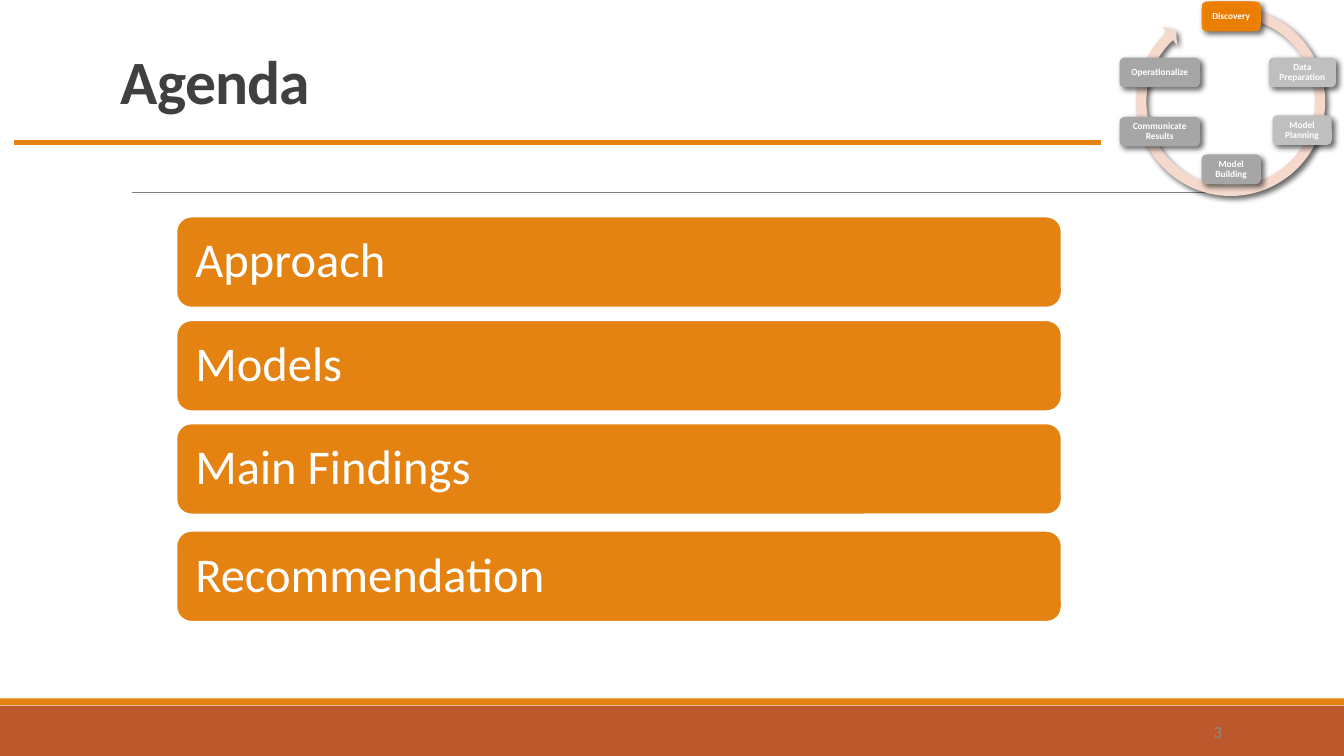
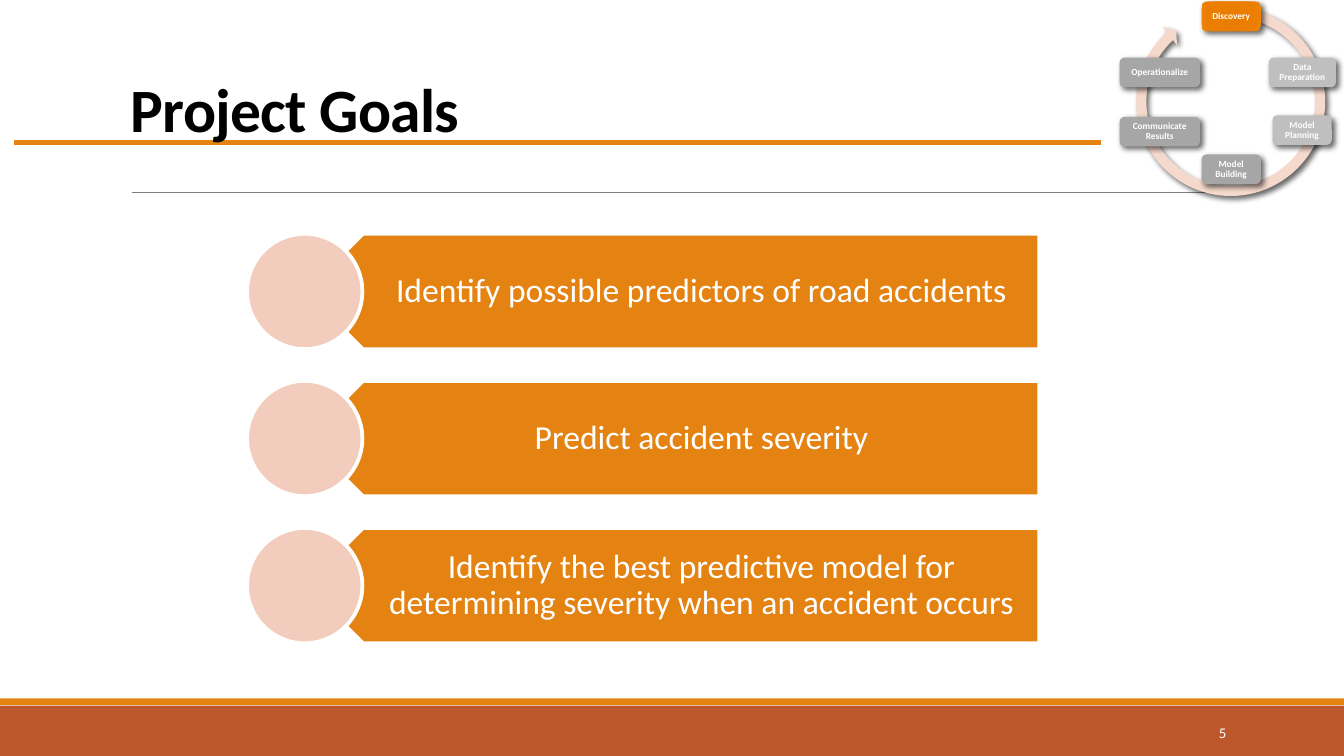
from dataclasses import dataclass

from lxml import etree
from pptx import Presentation
from pptx import util as u
from pptx.dml.color import RGBColor
from pptx.enum import shapes, text
from pptx.oxml import parse_xml
from pptx.oxml.ns import qn

SHAPE = shapes.MSO_SHAPE
ALIGN = text.PP_ALIGN
ANCHOR = text.MSO_ANCHOR
NAMESPACE = 'xmlns:a="http://schemas.openxmlformats.org/drawingml/2006/main"'


@dataclass(frozen=True)
class Theme:
    """Colours, font and type sizes shared by every slide."""
    font: str = "Calibri"
    accent: str = "E48312"
    footer: str = "BD582C"
    white: str = "FFFFFF"
    black: str = "000000"
    charcoal: str = "404040"
    rule: str = "808080"
    muted: str = "8B8B8B"
    pale: str = "F2CDBD"
    ring: str = "F5D9CC"
    light_step: str = "BFBFBF"
    dark_step: str = "A6A6A6"
    glow: tuple = ((0, "E57B00"), (34, "E87D00"), (70, "EB7E00"), (100, "EF8407"))
    title_size: float = 33
    agenda_size: float = 26
    goal_size: float = 18
    step_size: float = 5


THEME = Theme()
AGENDA = (("Approach", 4.09), ("Models", 6.05), ("Main Findings", 8), ("Recommendation", 10.03))
GOALS = (
    "Identify possible predictors of road accidents",
    "Predict accident severity",
    "Identify the best predictive model for determining severity when an accident occurs",
)
STEPS = (
    ("Discovery", 22.71, 0.03, 1.12, THEME.accent),
    ("Data Preparation", 23.98, 1.09, 1.27, THEME.light_step),
    ("Model Planning", 24.05, 2.18, 1.12, THEME.light_step),
    ("Model Building", 22.71, 2.92, 1.12, THEME.dark_step),
    ("Communicate Results", 21.16, 2.21, 1.52, THEME.dark_step),
    ("Operationalize", 21.16, 1.09, 1.52, THEME.dark_step),
)


def lengths(*values):
    """Turn centimetres into slide lengths."""
    return [u.Cm(value) for value in values]


def write_text(frame, words, *, size, color, bold=False, align=ALIGN.LEFT, anchor=ANCHOR.MIDDLE,
               insets=(0.25, 0.13, 0.25, 0.13), leading=0.9, tracking=0):
    """Fill a text frame with one formatted paragraph."""
    frame.word_wrap = True
    frame.auto_size = text.MSO_AUTO_SIZE.NONE
    frame.vertical_anchor = anchor
    (frame.margin_left, frame.margin_top,
     frame.margin_right, frame.margin_bottom) = lengths(*insets)
    para = frame.paragraphs[0]
    para.alignment = align
    para.line_spacing = leading
    span = para.add_run()
    span.text = words
    span.font.name = THEME.font
    span.font.size = u.Pt(size)
    span.font.bold = bold
    span.font.color.rgb = RGBColor.from_string(color)
    if tracking:
        span.font._element.set("spc", str(round(tracking * 100)))


def add_block(page, kind, place, fill, outline=0):
    """Draw a filled preset shape, with a white outline if a width is given."""
    block = page.shapes.add_shape(kind, *lengths(*place))
    block.shadow.inherit = False
    block.fill.solid()
    block.fill.fore_color.rgb = RGBColor.from_string(fill)
    if outline:
        block.line.color.rgb = RGBColor.from_string(THEME.white)
        block.line.width = u.Pt(outline)
    else:
        block.line.fill.background()
    return block


def add_label(page, place, words, **style):
    """Place a text box."""
    box = page.shapes.add_textbox(*lengths(*place))
    write_text(box.text_frame, words, **style)


def add_rule(page, left, right, top, color, width):
    """Draw a horizontal line."""
    rule = page.shapes.add_connector(shapes.MSO_CONNECTOR.STRAIGHT, *lengths(left, top, right, top))
    rule.line.color.rgb = RGBColor.from_string(color)
    rule.line.width = u.Pt(width)
    etree.SubElement(rule._element.spPr, qn("a:effectLst"))


def add_shadow(block):
    """Give a shape a soft shadow to the lower right."""
    effects = block._element.spPr.find(qn("a:effectLst"))
    effects.append(parse_xml(
        f'<a:outerShdw {NAMESPACE} blurRad="{u.Pt(3)}" dist="{u.Pt(2)}" dir="2700000" '
        f'rotWithShape="0"><a:srgbClr val="{THEME.black}"><a:alpha val="60000"/></a:srgbClr>'
        '</a:outerShdw>'))


def add_glow(block):
    """Replace a solid fill with the highlight gradient."""
    stops = "".join(f'<a:gs pos="{share * 1000}"><a:srgbClr val="{color}"/></a:gs>'
                    for share, color in THEME.glow)
    properties = block._element.spPr
    properties.replace(properties.find(qn("a:solidFill")), parse_xml(
        f'<a:gradFill {NAMESPACE}><a:gsLst>{stops}</a:gsLst><a:path path="circle">'
        '<a:fillToRect l="100000" t="100000" r="100000" b="100000"/></a:path></a:gradFill>'))


def add_cycle(page, current):
    """Draw the project life cycle with the current step highlighted."""
    ring = add_block(page, SHAPE.CIRCULAR_ARROW, (21.34, 0, 3.84, 3.84), THEME.ring)
    for index, value in enumerate((0.05, 3.13, 146.34, 168.93, 0.06)):
        ring.adjustments[index] = value
    ring.rotation = 343.2
    add_shadow(ring)
    for name, left, top, width, fill in STEPS:
        step = add_block(page, SHAPE.ROUNDED_RECTANGLE, (left, top, width, 0.56), fill)
        if name == current:
            add_glow(step)
        add_shadow(step)
        write_text(step.text_frame, name, size=THEME.step_size, color=THEME.white, bold=True,
                   align=ALIGN.CENTER, insets=(0.05,) * 4)


def add_page(deck, title, place, number, *, number_left, number_size, number_color, **title_style):
    """Add a slide with its bands, rules, title and page number."""
    page = deck.slides.add_slide(deck.slide_layouts[5])
    add_block(page, SHAPE.RECTANGLE, (0, 13.34, 25.4, 0.95), THEME.footer)
    add_block(page, SHAPE.RECTANGLE, (0, 13.2, 25.4, 0.13), THEME.accent)
    add_rule(page, 2.49, 23.24, 3.63, THEME.rule, 0.5)
    add_rule(page, 0.26, 20.81, 2.69, THEME.accent, 3)
    heading = page.shapes.title
    heading.left, heading.top, heading.width, heading.height = lengths(*place)
    write_text(heading.text_frame, title, size=THEME.title_size, bold=True, tracking=-0.4,
               **title_style)
    page.shapes._spTree.append(heading._element)
    add_label(page, (number_left, 13.46, 2.74, 0.76), number, size=number_size,
              color=number_color, align=ALIGN.RIGHT, insets=(0.18, 0.1, 0.18, 0.1), leading=1)
    return page


def add_agenda(page):
    """Stack the agenda bars."""
    for words, top in AGENDA:
        bar = add_block(page, SHAPE.ROUNDED_RECTANGLE, (3.33, top, 16.74, 1.73), THEME.accent, 1.25)
        write_text(bar.text_frame, words, size=THEME.agenda_size, color=THEME.white,
                   insets=(0.28,) * 4)


def add_goals(page):
    """Stack the goal banners, each led by a disc."""
    height = 2.18
    for index, words in enumerate(GOALS):
        top = 4.42 + index * 2.78
        banner = add_block(page, SHAPE.PENTAGON, (5.77, top, 13.87, height), THEME.accent, 2)
        banner.rotation = 180
        add_label(page, (6.3, top, 13.31, height), words, size=THEME.goal_size,
                  color=THEME.white, align=ALIGN.CENTER, insets=(0.97, 0.18, 0.36, 0.18))
        add_block(page, SHAPE.OVAL, (4.67, top, height, height), THEME.pale, 2)


def main():
    """Build and save the deck."""
    deck = Presentation()
    deck.slide_width, deck.slide_height = lengths(25.4, 14.29)

    agenda = add_page(deck, "Agenda", (2.03, 0.08, 20.32, 2.26), "3", number_left=20.54,
                      number_size=9, number_color=THEME.muted, color=THEME.charcoal,
                      anchor=ANCHOR.BOTTOM, leading=0.85)
    add_agenda(agenda)
    add_cycle(agenda, "Discovery")

    goals = add_page(deck, "Project Goals", (2.29, 0.61, 20.95, 3.02), "5", number_left=20.62,
                     number_size=7.9, number_color=THEME.white, color=THEME.black,
                     insets=(0.18, 0.1, 0.18, 0.1))
    add_goals(goals)
    add_cycle(goals, "Discovery")

    deck.save("out.pptx")


if __name__ == "__main__":
    main()
